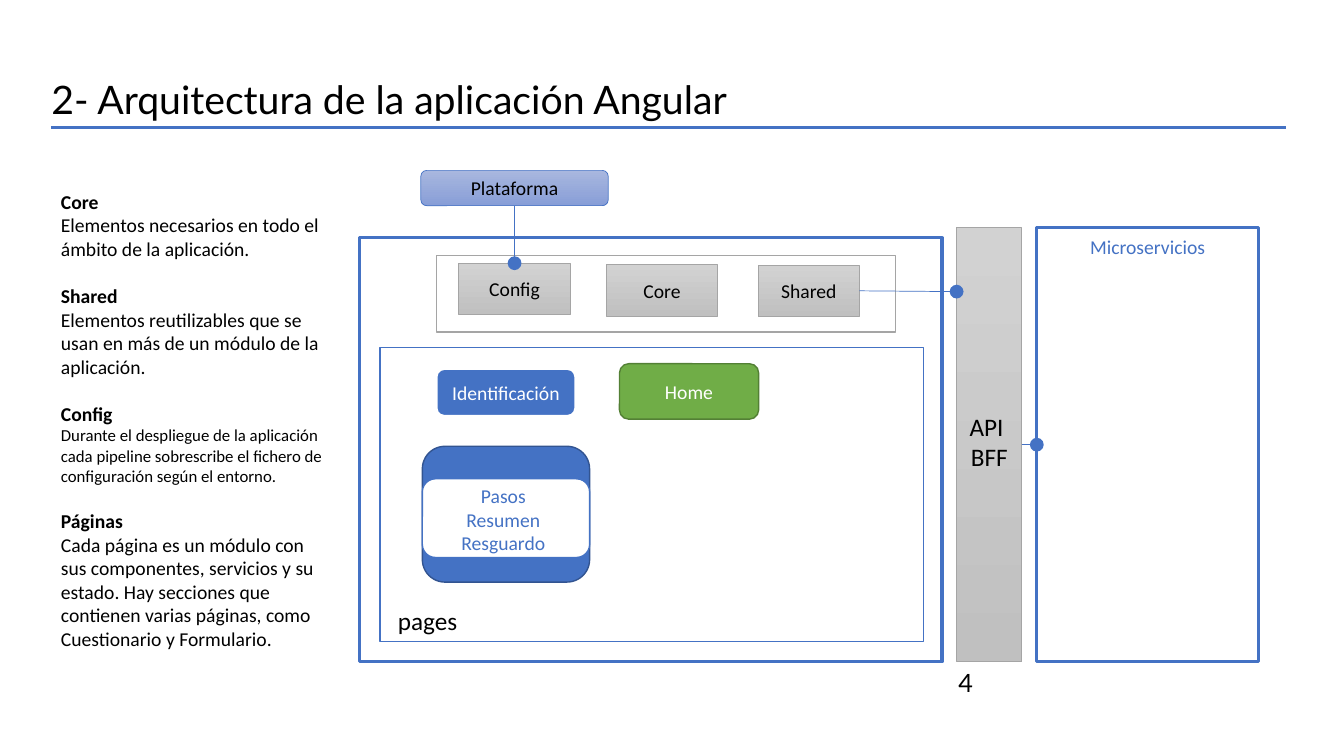
from dataclasses import dataclass

from lxml.etree import SubElement as Sub
from pptx import Presentation
from pptx.dml.color import RGBColor
from pptx.enum.shapes import MSO_CONNECTOR as Wire, MSO_SHAPE as Form
from pptx.enum.text import MSO_ANCHOR as Anchor, MSO_AUTO_SIZE as Fit, PP_ALIGN as Align
from pptx.oxml.ns import qn
from pptx.util import Pt

BLUE, WHITE, BLACK, GRAY = "4472C4", "FFFFFF", "000000", "A5A5A5"
STEEL = ("D2D2D2", "C0C0C0")
SKY = ("A8B7DF", "889ED7")
TOP, LEFT, BOTTOM, RIGHT = range(4)
GAP = 16.8


@dataclass
class Box:
    key: str
    at: tuple
    fill: str | tuple
    edge: str
    width: float
    text: str = ""
    ink: str = BLACK
    form: Form = Form.RECTANGLE


@dataclass
class Label:
    text: str
    at: tuple
    size: float = 14
    ink: str = BLACK
    font: str = "Calibri"
    align: Align = Align.CENTER
    anchor: Anchor = Anchor.TOP
    lead: float = 1


@dataclass
class Note:
    head: str
    text: str
    size: float = 14


ROUND = Form.ROUNDED_RECTANGLE
BOXES = [
    Box("app", (257, 169.8, 415.9, 303), WHITE, BLUE, 2.25),
    Box("services", (740.6, 162.6, 158.4, 310.1), WHITE, BLUE, 2.25),
    Box("api", (683.3, 162.6, 46.5, 310.1), STEEL, GRAY, 0.5),
    Box("pages", (271.6, 248.2, 388, 210), WHITE, BLUE, 1),
    Box("home", (442.5, 259.8, 99.4, 39.6), "70AD47", "538035", 1, "Home", WHITE, ROUND),
    Box("login", (311.8, 263.5, 99.2, 33.6), BLUE, WHITE, 1.5, "Identificación", WHITE, ROUND),
    Box("form", (301.7, 318.8, 119.5, 97), BLUE, "325491", 1, form=ROUND),
    Box("steps", (301.7, 342, 119.5, 56.2), WHITE, BLUE, 1, form=ROUND),
    Box("modules", (312, 182.4, 327.8, 54.7), WHITE, GRAY, 1),
    Box("core", (433, 189, 79.8, 36.7), STEEL, GRAY, 0.5, "Core"),
    Box("shared", (541.6, 189.4, 72.2, 36.7), STEEL, GRAY, 0.5, "Shared"),
    Box("config", (327.6, 188, 79.9, 36.7), STEEL, GRAY, 0.5, "Config"),
    Box("platform", (300.6, 121.7, 133.9, 25.2), SKY, BLUE, 0.5, "Plataforma", form=ROUND),
]
LABELS = [
    Label("4", (677.5, 473, 216, 28.8), 18, font="Lato", align=Align.LEFT),
    Label("Microservicios", (740.6, 164.2, 158.4, 24.5), ink=BLUE),
    Label("API \nBFF", (683.3, 279, 46.8, 61.9), 18, anchor=Anchor.MIDDLE, lead=1.5),
    Label("Pasos\nResumen\nResguardo", (299.8, 342.2, 119.5, 58.3), ink=BLUE),
    Label("pages", (277.2, 429, 69.8, 28.8), 18, align=Align.LEFT),
]
NOTES = [
    Note("Core", "Elementos necesarios en todo el ámbito de la aplicación."),
    Note("Shared", "Elementos reutilizables que se usan en más de un módulo de la aplicación."),
    Note("Config", "Durante el despliegue de la aplicación cada pipeline sobrescribe el fichero "
         "de configuración según el entorno.", 12),
    Note("Páginas", "Cada página es un módulo con sus componentes, servicios y su estado. Hay "
         "secciones que contienen varias páginas, como Cuestionario y Formulario."),
]


def color(code: str) -> RGBColor:
    return RGBColor.from_string(code)


def place(shape, at: tuple) -> None:
    shape.left, shape.top, shape.width, shape.height = map(Pt, at)


def add_run(para, text: str, size: float, ink: str = BLACK,
            face: str = "Calibri", bold: bool = False) -> None:
    run = para.add_run()
    run.text = text
    font = run.font
    font.size, font.name, font.bold = Pt(size), face, bold
    font.color.rgb = color(ink)


def add_paras(frame, label: Label) -> None:
    """Fill a frame with one paragraph per line; the lead applies to the first."""
    frame.word_wrap = True
    frame.vertical_anchor = label.anchor
    for i, text in enumerate(label.text.split("\n")):
        para = frame.add_paragraph() if i else frame.paragraphs[0]
        para.alignment = label.align
        para.line_spacing = 1.0 if i else label.lead
        add_run(para, text, label.size, label.ink, label.font)


def add_box(slide, box: Box):
    shape = slide.shapes.add_shape(box.form, *map(Pt, box.at))
    shape.shadow.inherit = False
    if isinstance(box.fill, tuple):
        shape.fill.gradient()
        shape.fill.gradient_angle = 270
        for stop, code in zip(shape.fill.gradient_stops, box.fill):
            stop.color.rgb = color(code)
    else:
        shape.fill.solid()
        shape.fill.fore_color.rgb = color(box.fill)
    shape.line.color.rgb = color(box.edge)
    shape.line.width = Pt(box.width)
    if box.text:
        add_paras(shape.text_frame, Label(box.text, box.at, ink=box.ink, anchor=Anchor.MIDDLE))
    return shape


def add_line(slide, start: tuple, end: tuple, width: float, dot: bool = True):
    wire = slide.shapes.add_connector(Wire.STRAIGHT, *map(Pt, start + end))
    wire.line.color.rgb = color(BLUE)
    wire.line.width = Pt(width)
    props = wire.element.spPr
    if dot:
        Sub(props.find(qn("a:ln")), qn("a:tailEnd"), type="oval", w="lg", len="lg")
    Sub(props, qn("a:effectLst"))
    return wire


def add_notes(body) -> None:
    """List each module's heading and its description in the body."""
    frame = body.text_frame
    frame.word_wrap, frame.auto_size = True, Fit.NONE
    frame.vertical_anchor = Anchor.TOP
    rows = [row for note in NOTES
            for row in ((note.head, 14, True), (note.text, note.size, False))]
    for i, (text, size, bold) in enumerate(rows):
        para = frame.add_paragraph() if i else frame.paragraphs[0]
        para.alignment, para.line_spacing = Align.LEFT, 1.0
        para.space_before = Pt(GAP if bold and i else 0)
        para.space_after = Pt(0)
        add_run(para, text, size, bold=bold)
        props = para._p.get_or_add_pPr()
        props.set("marL", "0")
        props.set("indent", "0")
        Sub(props, qn("a:buNone"))


def main() -> None:
    deck = Presentation()
    deck.slide_width, deck.slide_height = Pt(960), Pt(540)
    slide = deck.slides.add_slide(deck.slide_layouts[1])

    title, body = slide.shapes.title, slide.placeholders[1]
    place(title, (29.5, 54, 856, 36.7))
    title.text_frame.auto_size = Fit.NONE
    add_paras(title.text_frame, Label("2- Arquitectura de la aplicación Angular", (), 28,
              font="Lato", align=Align.LEFT, anchor=Anchor.MIDDLE, lead=0.9))
    place(body, (36.3, 132, 208, 353.5))
    add_notes(body)
    add_line(slide, (36.3, 91), (918.7, 91), 2.25, dot=False)

    parts = {box.key: add_box(slide, box) for box in BOXES}
    for label in LABELS:
        text = slide.shapes.add_textbox(*map(Pt, label.at))
        add_paras(text.text_frame, label)

    call = add_line(slide, (730, 318), (741, 318), 1)
    call.begin_connect(parts["api"], RIGHT)
    call.end_connect(parts["services"], LEFT)
    link = add_line(slide, (613.8, 207.7), (683.3, 208.3), 0.5)
    link.begin_connect(parts["shared"], RIGHT)
    feed = add_line(slide, (367.6, 147), (367.6, 188), 0.5)
    feed.begin_connect(parts["platform"], BOTTOM)
    feed.end_connect(parts["config"], TOP)

    deck.save("out.pptx")


if __name__ == "__main__":
    main()
